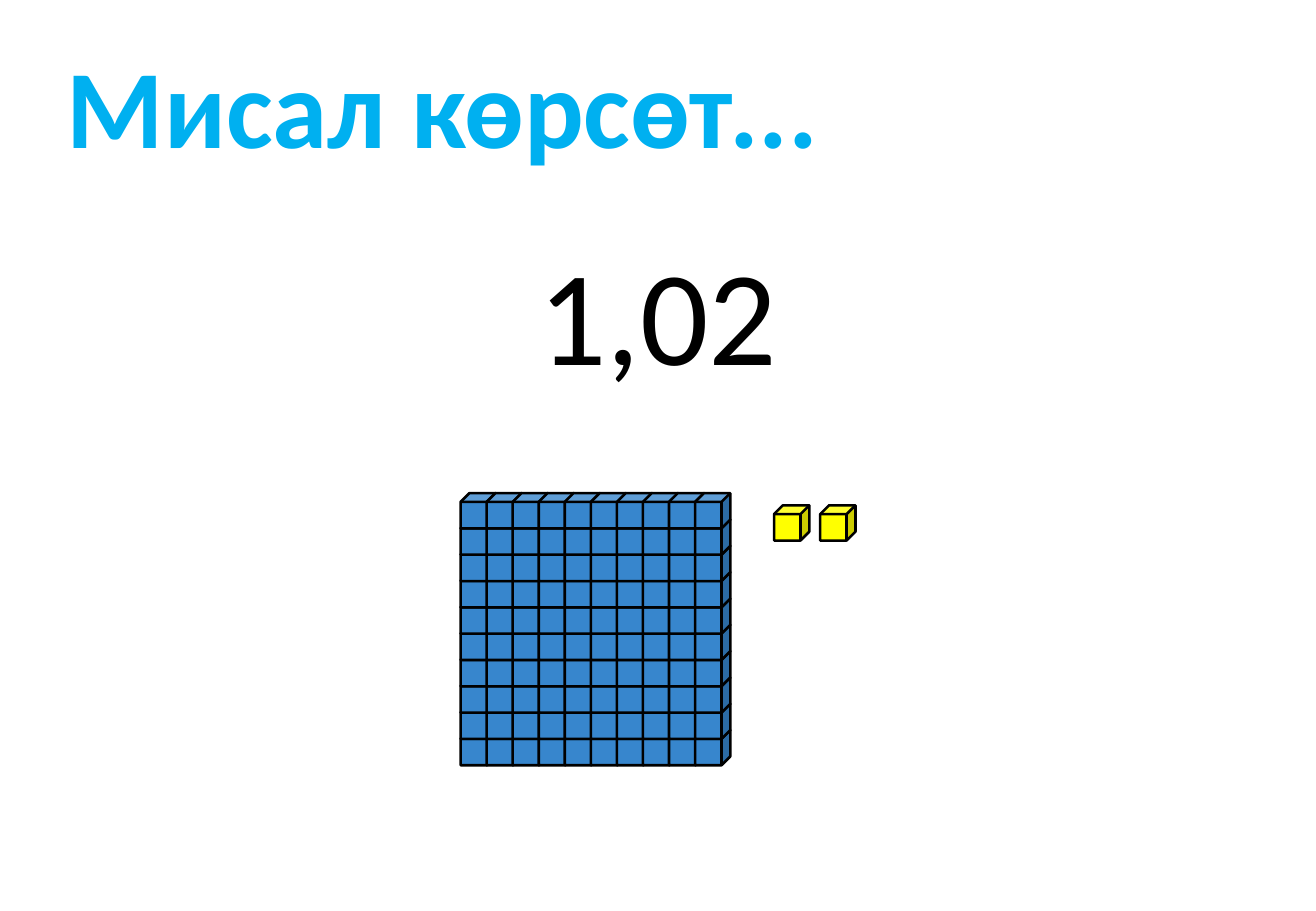
from pptx import Presentation, util as u
from pptx.dml.color import RGBColor
from pptx.enum import shapes, text

BLACK = RGBColor(0x00, 0x00, 0x00)
SKY = RGBColor(0x00, 0xB0, 0xF0)
BLUE = RGBColor(0x37, 0x86, 0xCD)
YELLOW = RGBColor(0xFF, 0xFF, 0x00)

WIDTH, HEIGHT = 10.83, 7.5
CUBE = 0.29
SIDE = 10  # cubes along each side of the whole
BLOCK_LEFT, BLOCK_TOP = 3.79, 4.06
COLUMN, ROW = 1.93 / (SIDE - 1), 1.95 / (SIDE - 1)


def add_text(words, left, top, width, height, size, color, bold=False,
             align=text.PP_ALIGN.LEFT, wrap=True, indent=0.1):
    box = page.shapes.add_textbox(*map(u.Inches, (left, top, width, height)))
    frame = box.text_frame
    frame.word_wrap = wrap
    frame.auto_size = text.MSO_AUTO_SIZE.SHAPE_TO_FIT_TEXT
    frame.margin_left = u.Inches(indent)
    para = frame.paragraphs[0]
    para.alignment = align
    span = para.add_run()
    span.text = words
    span.font.name = "Calibri"
    span.font.size = u.Pt(size)
    span.font.bold = bold
    span.font.color.rgb = color


def add_cube(group, left, top, color):
    cube = group.shapes.add_shape(
        shapes.MSO_SHAPE.CUBE, u.Inches(left), u.Inches(top),
        u.Inches(CUBE), u.Inches(CUBE))
    cube.shadow.inherit = False
    cube.fill.solid()
    cube.fill.fore_color.rgb = color
    cube.line.color.rgb = BLACK
    cube.line.width = u.Pt(1.5)


deck = Presentation()
deck.slide_width, deck.slide_height = u.Inches(WIDTH), u.Inches(HEIGHT)
page = deck.slides.add_slide(deck.slide_layouts[6])

# Decimal number, centred on the page
number_width = 2.19
add_text("1,02", (WIDTH - number_width) / 2, 1.85, number_width, 1.45, 80, BLACK,
         align=text.PP_ALIGN.CENTER, wrap=False)

# One whole: columns of cubes, each stacked from the bottom up
whole = page.shapes.add_group_shape()
for column in range(SIDE):
    for row in reversed(range(SIDE)):
        add_cube(whole, BLOCK_LEFT + column * COLUMN, BLOCK_TOP + row * ROW, BLUE)

# Two hundredths
hundredths = page.shapes.add_group_shape()
for index in range(2):
    add_cube(hundredths, 6.37 + index * 0.38, 4.16, YELLOW)

# Heading
add_text("Мисал көрсөт...", 0.24, 0.26, 7.54, 1.21, 66, SKY, bold=True, indent=0.31)

deck.save("out.pptx")
